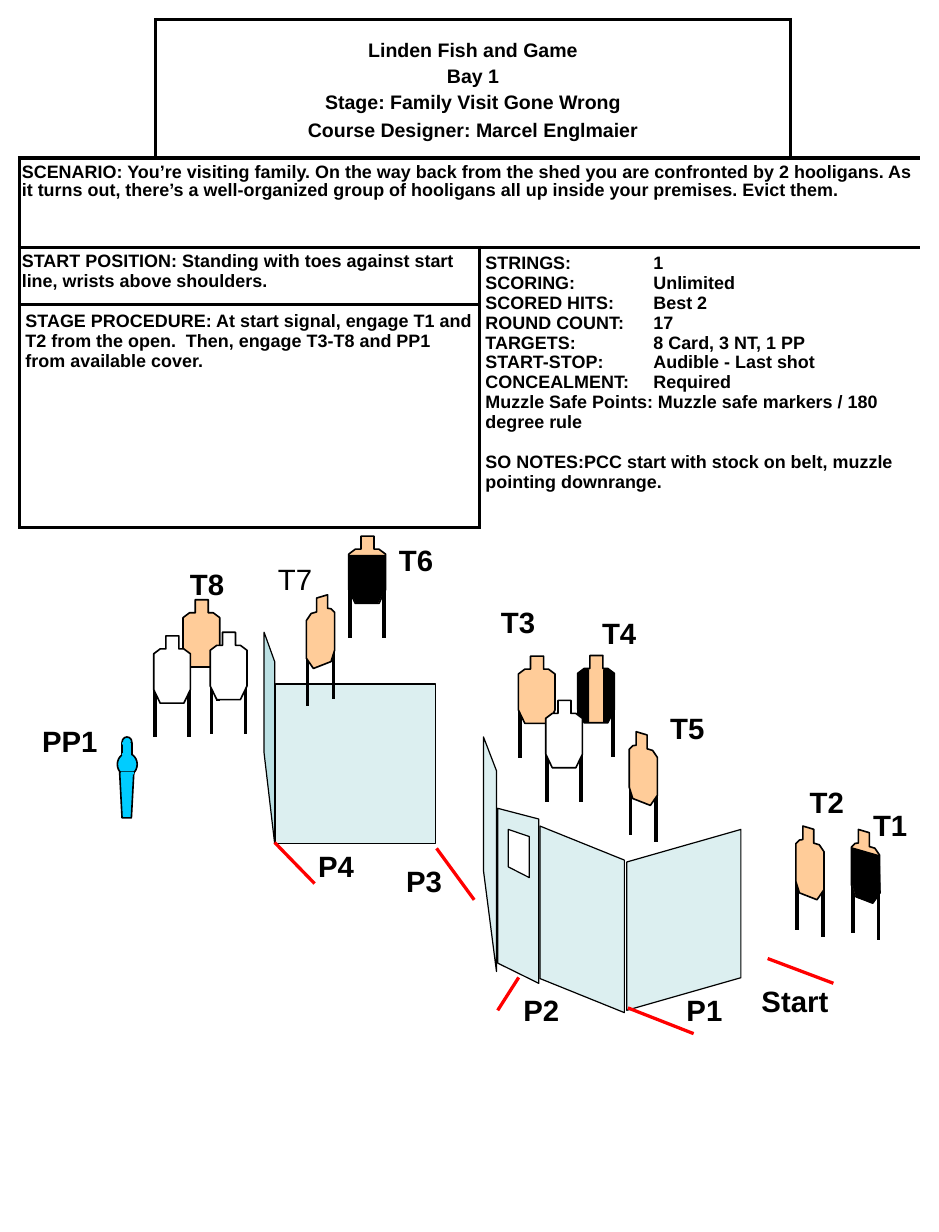
from lxml import etree
from pptx import Presentation
from pptx.dml.color import RGBColor
from pptx.enum.shapes import MSO_CONNECTOR, MSO_SHAPE
from pptx.enum.text import MSO_ANCHOR, PP_ALIGN
from pptx.oxml.ns import qn
from pptx.util import Pt

STRAIGHT = MSO_CONNECTOR.STRAIGHT
OVAL, RECT = MSO_SHAPE.OVAL, MSO_SHAPE.RECTANGLE
MIDDLE, TOP = MSO_ANCHOR.MIDDLE, MSO_ANCHOR.TOP
CENTER, LEFT = PP_ALIGN.CENTER, PP_ALIGN.LEFT
BLACK = RGBColor(0x00, 0x00, 0x00)
WHITE = RGBColor(0xFF, 0xFF, 0xFF)
TAN = RGBColor(0xFF, 0xCC, 0x99)
RED = RGBColor(0xFF, 0x00, 0x00)
CYAN = RGBColor(0x00, 0xCC, 0xFF)
TEAL = RGBColor(0xBB, 0xE0, 0xE3)
FONT = "Arial"

# Target outlines, legs and hard covers, relative to the target's top left
FRONT_W, SIDE_W = 22.5, 17.3
FRONT = [(7.5, 0), (15.5, 0), (15.5, 8), (18.5, 8), (22.5, 11), (22.5, 33),
         (18.5, 41.3), (4, 41.3), (0, 33), (0, 11), (4, 8), (7.5, 8)]
FRONT_LEGS = [(0.8, 31), (21.5, 31)]
SIDE = [(11, 2), (4.3, 0), (4.3, 8.3), (2.2, 8.6), (0, 10.8), (0, 34),
        (2.2, 41), (13, 45.2), (17.3, 39), (17.3, 15.8), (14.4, 11.5),
        (11, 10.5)]
SIDE_LEGS = [(16.6, 36.7), (0.8, 32.4)]
LEG = 31.3
LOW = [(0, 11.5), (22.7, 11.5), (22.7, 32.4), (18, 41), (4.3, 41), (0, 33)]
STRIP = [(15.5, 8.6), (15.5, 41), (18.5, 41), (22.5, 33), (22.5, 11),
         (18.5, 8)]
SLANT = [(18, 39), (13.5, 45.4), (2.9, 41.8), (0, 33), (0, 10.8),
         (17.3, 15.8)]

FACTS = [("STRINGS:", "1"), ("SCORING:", "Unlimited"),
         ("SCORED HITS:", "Best 2"), ("ROUND COUNT:", "17"),
         ("TARGETS:", "8 Card, 3 NT, 1 PP"),
         ("START-STOP:", "Audible - Last shot"),
         ("CONCEALMENT:", "Required")]
LABELS = [("Start", 460, 600), ("T6", 237.6, 329), ("PP1", 18.7, 440),
          ("T2", 489.6, 477.4), ("T1", 528.5, 491.8), ("T8", 109.4, 344.2),
          ("T4", 362.2, 373.7), ("T3", 300.2, 367.2), ("T5", 404, 432),
          ("T7", 163.4, 340.6), ("P1", 414, 605.5), ("P2", 314, 605.5),
          ("P3", 242, 526.3), ("P4", 188, 517)]
LINES = [(511.2, 603.4, 470.9, 588.2), (290.9, 552.2, 267.8, 520.6),
         (305.3, 620, 318.2, 599.8), (425.5, 634.3, 385.2, 618.5),
         (193, 542.2, 168.5, 517)]


def paint(shape, fill, line=None, width=1.0, alpha=None):
    shape.shadow.inherit = False
    shape.fill.solid()
    shape.fill.fore_color.rgb = fill
    if alpha:
        color = shape._element.spPr.find(".//" + qn("a:srgbClr"))
        etree.SubElement(color, qn("a:alpha"), val=str(alpha * 1000))
    if line is None:
        shape.line.fill.background()
    else:
        shape.line.color.rgb = line
        shape.line.width = Pt(width)


def outline(shapes, points, *style):
    points = [(Pt(x), Pt(y)) for x, y in points]
    form = shapes.build_freeform(*points[0])
    form.add_line_segments(points[1:], close=True)
    paint(form.convert_to_shape(), *style)


def stroke(shapes, x1, y1, x2, y2, color, width):
    line = shapes.add_connector(STRAIGHT, Pt(x1), Pt(y1), Pt(x2), Pt(y2))
    line.line.color.rgb = color
    line.line.width = Pt(width)
    etree.SubElement(line._element.spPr, qn("a:effectLst"))


def flip(points, width):
    return [(width - x, y) for x, y in points]


def target(shapes, x, y, body, legs, fill=TAN, covers=()):
    """Group a target's legs, body and hard covers at x, y."""
    parts = shapes.add_group_shape().shapes
    for dx, dy in legs:
        stroke(parts, x + dx, y + dy, x + dx, y + dy + LEG, BLACK, 2.25)
    outline(parts, [(x + dx, y + dy) for dx, dy in body], fill, BLACK)
    for cover in covers:
        outline(parts, [(x + dx, y + dy) for dx, dy in cover], BLACK)


def front(shapes, x, y, fill=TAN, covers=()):
    target(shapes, x, y, FRONT, FRONT_LEGS, fill, covers)


def side(shapes, x, y, covers=()):
    target(shapes, x, y, SIDE, SIDE_LEGS, TAN, covers)


def popper(shapes, x, y):
    parts = shapes.add_group_shape().shapes

    def part(kind, dx, dy, w, h, line):
        paint(parts.add_shape(kind, Pt(x + dx), Pt(y + dy), Pt(w), Pt(h)),
              CYAN, line)

    part(OVAL, 2.9, 0, 6, 6.5, BLACK)
    part(OVAL, 0, 10, 12.2, 13.7, BLACK)
    base = [(1.4, 21.6), (10.1, 21.6), (8.6, 49.7), (2.9, 49.7)]
    outline(parts, [(x + dx, y + dy) for dx, dy in base], CYAN, BLACK)
    part(RECT, 2.9, 3.6, 6, 7.2, BLACK)
    part(RECT, 2.2, 21.6, 7.9, 1.4, None)
    part(RECT, 3.6, 10.1, 4.3, 1.4, CYAN)
    part(RECT, 3.6, 3.6, 4.3, 0.7, CYAN)


def wall(shapes, points, fill=TEAL, alpha=50):
    outline(shapes, points, fill, BLACK, 0.75, alpha)


def region(table, first, last, sides="LRTB"):
    """Merge first to last, draw its outer borders and return the cell."""
    (top, left), (bottom, right) = first, last
    for r in range(top, bottom + 1):
        for c in range(left, right + 1):
            cell = table.cell(r, c)
            props = cell._tc.get_or_add_tcPr()
            outer = {"L": c == left, "R": c == right,
                     "T": r == top, "B": r == bottom}
            for edge in "LRTB":
                ln = etree.SubElement(props, qn("a:ln" + edge),
                                      w=str(Pt(2.25)))
                if edge in sides and outer[edge]:
                    fill = etree.SubElement(ln, qn("a:solidFill"))
                    etree.SubElement(fill, qn("a:srgbClr"), val=str(BLACK))
                else:
                    etree.SubElement(ln, qn("a:noFill"))
            cell.fill.solid()
            cell.fill.fore_color.rgb = WHITE
    cell = table.cell(*first)
    if first != last:
        cell.merge(table.cell(*last))
    return cell


def write(cell, rows, size=11, pad=(3.6, 3.6), gaps=None, align=LEFT,
          anchor=TOP, tab=None):
    cell.margin_left = cell.margin_right = Pt(pad[0])
    cell.margin_top, cell.margin_bottom = Pt(pad[1]), Pt(2)
    cell.vertical_anchor = anchor
    frame = cell.text_frame
    frame.text = "\n".join(rows)
    for i, para in enumerate(frame.paragraphs):
        if tab and "\t" in rows[i]:
            tabs = etree.SubElement(para._p.get_or_add_pPr(), qn("a:tabLst"))
            etree.SubElement(tabs, qn("a:tab"), pos=str(Pt(tab)), algn="l")
        para.alignment = align
        if gaps and i in gaps:
            para.space_before = Pt(gaps[i])
        letter(para, size)


def letter(para, size, bold=True):
    para.font.name, para.font.size = FONT, Pt(size)
    para.font.bold, para.font.color.rgb = bold, BLACK


def brief(shapes, x, y, widths, heights):
    frame = shapes.add_table(len(heights), len(widths), Pt(x), Pt(y),
                             Pt(sum(widths)), Pt(sum(heights)))
    table = frame.table
    table.first_row = table.horz_banding = False
    for col, width in zip(table.columns, widths):
        col.width = Pt(width)
    for row, height in zip(table.rows, heights):
        row.height = Pt(height)
    region(table, (0, 0), (0, 0), "RB")
    write(region(table, (0, 1), (0, 2)),
          ["Linden Fish and Game", "Bay 1", "Stage: Family Visit Gone Wrong",
           "Course Designer: Marcel Englmaier"], 12, (3.6, 4.4),
          {1: 2.4, 2: 2.4, 3: 4.2}, CENTER, MIDDLE)
    region(table, (0, 3), (0, 3), "LB")
    story = region(table, (1, 0), (1, 3))
    write(story, ["SCENARIO: You’re visiting family. On the way back from "
                  "the shed you are confronted by 2 hooligans. As it turns "
                  "out, there’s a well-organized group of hooligans all up "
                  "inside your premises. Evict them."], pad=(1.4, 4))
    story.text_frame.paragraphs[0].line_spacing = 0.9
    write(region(table, (2, 0), (2, 1)),
          ["START POSITION: Standing with toes against start line, wrists "
           "above shoulders."], pad=(1.4, 2.7))
    write(region(table, (2, 2), (3, 3)),
          ["\t".join(fact) for fact in FACTS]
          + ["Muzzle Safe Points: Muzzle safe markers / 180 degree rule",
             "SO NOTES:PCC start with stock on belt, muzzle pointing "
             "downrange."], gaps={8: 12}, tab=103)
    write(region(table, (3, 0), (3, 1)),
          ["STAGE PROCEDURE: At start signal, engage T1 and T2 from the "
           "open.  Then, engage T3-T8 and PP1 from available cover."],
          pad=(3.6, 4))


def label(shapes, text, x, y):
    width = {2: 41.8, 3: 52.6, 5: 63.4}[len(text)]
    frame = shapes.add_textbox(Pt(x), Pt(y), Pt(width), Pt(28.8)).text_frame
    frame.word_wrap = True
    frame.text = text
    letter(frame.paragraphs[0], 18, text != "T7")


def bay(shapes):
    """Draw walls, targets, lines and labels, back to front."""
    front(shapes, 112.3, 368)
    side(shapes, 488.2, 506.9)
    side(shapes, 522.3, 509, [SLANT])
    wall(shapes, [(384.5, 529), (454.5, 509), (454.5, 600), (384.5, 620)])
    popper(shapes, 72, 452.2)
    wall(shapes, [(330.5, 603.4), (305.3, 591), (305.3, 496), (330.5, 502.6)])
    wall(shapes, [(324.7, 513.4), (311.8, 509), (311.8, 532), (324.7, 538.6)],
         WHITE, None)
    wall(shapes, [(383, 527.8), (331.2, 506.9), (331.2, 600.5), (383, 621.4)])
    wall(shapes, [(296.6, 534.2), (304.6, 596.2), (304.6, 473),
                  (296.6, 452.2)])
    wall(shapes, [(267, 517.7), (169.2, 517.7), (169.2, 419.8), (267, 419.8)])
    front(shapes, 354.4, 402.2, covers=[STRIP, flip(STRIP, FRONT_W)])
    front(shapes, 318, 402.6)
    side(shapes, 386, 449)
    target(shapes, 188, 365, flip(SIDE, SIDE_W), flip(SIDE_LEGS, SIDE_W))
    front(shapes, 214, 329, covers=[LOW])
    for x, y in [(334.8, 429.8), (94.3, 390.2), (129, 388)]:
        front(shapes, x, y, WHITE)
    wall(shapes, [(162, 462.2), (168.5, 517.7), (168.5, 406), (162, 388)],
         TEAL, None)
    for ends in LINES:
        stroke(shapes, *ends, RED, 2)
    for item in LABELS:
        label(shapes, *item)


def main():
    deck = Presentation()
    deck.slide_width, deck.slide_height = Pt(576), Pt(756)
    shapes = deck.slides.add_slide(deck.slide_layouts[6]).shapes
    brief(shapes, 12, 12, [83.5, 198.7, 190.8, 79.2], [85, 54.7, 35.3, 136.8])
    bay(shapes)
    deck.save("out.pptx")


if __name__ == "__main__":
    main()
